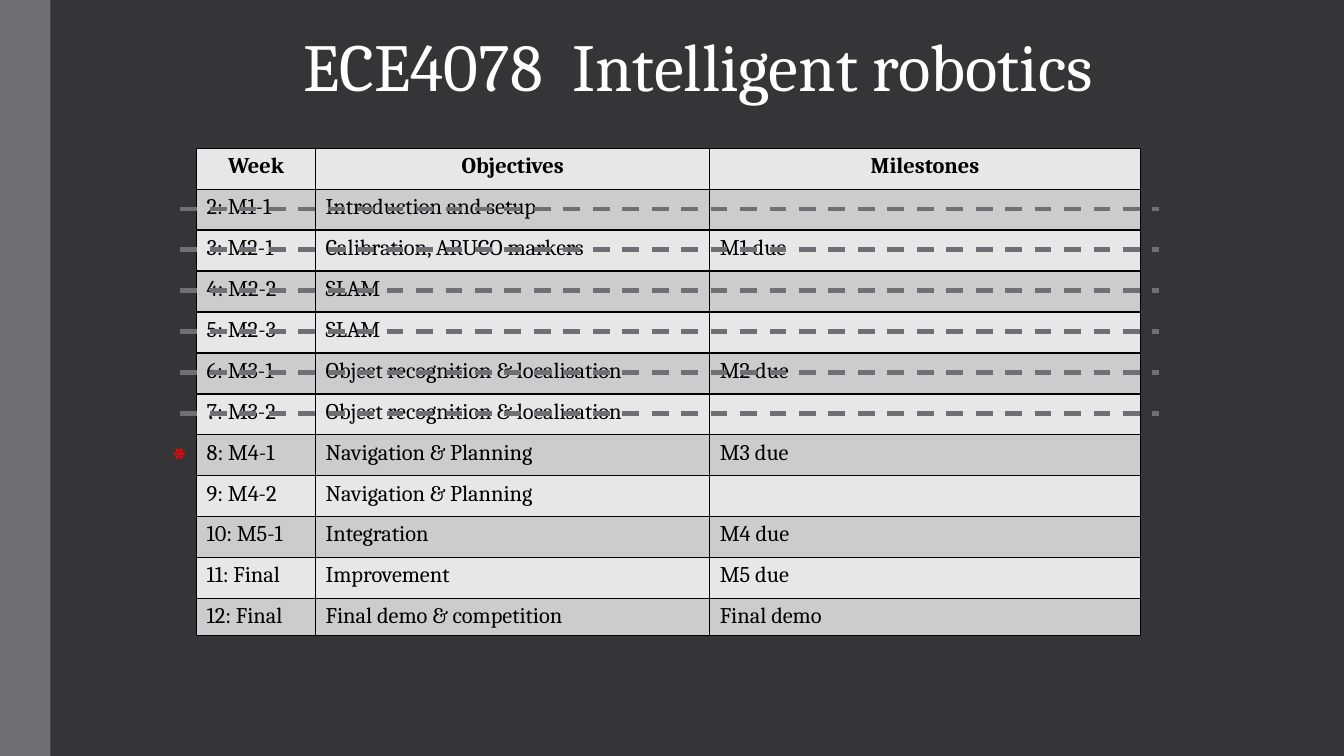
from lxml.etree import SubElement
from pptx import Presentation
from pptx.dml.color import RGBColor
from pptx.enum.dml import MSO_LINE_DASH_STYLE as Dash
from pptx.enum.shapes import MSO_CONNECTOR as Connector, MSO_SHAPE as Shape
from pptx.enum.text import MSO_AUTO_SIZE as AutoSize, PP_ALIGN as Align
from pptx.oxml import parse_xml
from pptx.oxml.ns import nsdecls, qn
from pptx.util import Inches, Pt

BACKGROUND = RGBColor(0x35, 0x35, 0x37)
GREY = RGBColor(0x6F, 0x6F, 0x74)
LIGHT_ROW = RGBColor(0xE7, 0xE7, 0xE7)
DARK_ROW = RGBColor(0xCC, 0xCC, 0xCC)
WHITE = RGBColor(0xFF, 0xFF, 0xFF)
BLACK = RGBColor(0, 0, 0)
RED = RGBColor(0xFF, 0, 0)

SCHEDULE = [
    ("Week", "Objectives", "Milestones"),
    ("2: M1-1", "Introduction and setup", ""),
    ("3: M2-1", "Calibration, ARUCO markers", "M1 due"),
    ("4: M2-2", "SLAM", ""),
    ("5: M2-3", "SLAM", ""),
    ("6: M3-1", "Object recognition & localisation", "M2 due"),
    ("7: M3-2", "Object recognition & localisation", ""),
    ("8: M4-1", "Navigation & Planning", "M3 due"),
    ("9: M4-2", "Navigation & Planning", ""),
    ("10: M5-1", "Integration", "M4 due"),
    ("11: Final", "Improvement", "M5 due"),
    ("12: Final", "Final demo & competition", "Final demo"),
]
COLUMN_WIDTHS = (1.18, 3.91, 4.27)
LAST_ROW_HEIGHT = 0.36
ROW_HEIGHT = (4.83 - LAST_ROW_HEIGHT) / (len(SCHEDULE) - 1)
COMPLETED_WEEKS = 6


class SlideBuilder:
    """Draws styled elements on the current slide."""

    font_name = "Cambria"

    def __init__(self, slide):
        self.slide = slide
        fill = slide.background.fill
        fill.solid()
        fill.fore_color.rgb = BACKGROUND

    def format_text(self, paragraph, size, color, bold=False, align=Align.LEFT):
        paragraph.alignment = align
        for run in paragraph.runs:
            font = run.font
            font.name, font.size, font.bold = self.font_name, Pt(size), bold
            font.color.rgb = color

    def bar(self, left, top, width, height, color):
        shape = self.slide.shapes.add_shape(
            Shape.RECTANGLE, Inches(left), Inches(top), Inches(width), Inches(height))
        shape.shadow.inherit = False
        shape.fill.solid()
        shape.fill.fore_color.rgb = color
        shape.line.fill.background()

    def text(self, text, left, top, width, height, size, color, align=Align.LEFT):
        box = self.slide.shapes.add_textbox(
            Inches(left), Inches(top), Inches(width), Inches(height))
        frame = box.text_frame
        frame.word_wrap = True
        frame.auto_size = AutoSize.SHAPE_TO_FIT_TEXT
        frame.text = text
        self.format_text(frame.paragraphs[0], size, color, align=align)

    def cell(self, cell, text, fill, header):
        cell.fill.solid()
        cell.fill.fore_color.rgb = fill
        cell.text = text
        paragraph = cell.text_frame.paragraphs[0]
        align = Align.CENTER if header else Align.LEFT
        self.format_text(paragraph, 16, BLACK, header, align)
        if not text:
            SubElement(paragraph._p, qn("a:endParaRPr"), sz="1600")
        properties = cell._tc.get_or_add_tcPr()
        for index, side in enumerate(("lnL", "lnR", "lnT", "lnB")):
            properties.insert(index, parse_xml(
                f'<a:{side} {nsdecls("a")} w="{Pt(1)}"><a:solidFill>'
                f'<a:srgbClr val="{BLACK}"/></a:solidFill></a:{side}>'))

    def table(self, rows, left, top, widths, row_height, last_height):
        height = row_height * (len(rows) - 1) + last_height
        table = self.slide.shapes.add_table(
            len(rows), len(widths), Inches(left), Inches(top),
            Inches(sum(widths)), Inches(height)).table
        table.first_row = table.horz_banding = False
        for column, width in zip(table.columns, widths):
            column.width = Inches(width)
        for row_index, values in enumerate(rows):
            row = table.rows[row_index]
            row.height = Inches(row_height)
            fill = DARK_ROW if row_index % 2 else LIGHT_ROW
            for cell, value in zip(row.cells, values):
                self.cell(cell, value, fill, row_index == 0)
        table.rows[len(rows) - 1].height = Inches(last_height)

    def dashed_line(self, left, right, y):
        connector = self.slide.shapes.add_connector(
            Connector.STRAIGHT, Inches(left), Inches(y), Inches(right), Inches(y))
        connector.line.color.rgb = GREY
        connector.line.width = Pt(3)
        connector.line.dash_style = Dash.DASH
        SubElement(connector._element.spPr, qn("a:effectLst"))


presentation = Presentation()
presentation.slide_width = Inches(13.33)
presentation.slide_height = Inches(7.5)
builder = SlideBuilder(presentation.slides.add_slide(presentation.slide_layouts[6]))

builder.bar(0, 0, 0.5, 7.5, GREY)
builder.text("ECE4078  Intelligent robotics", 0.52, 0.19, 12.81, 0.91, 48, WHITE, Align.CENTER)
builder.table(SCHEDULE, 1.95, 1.47, COLUMN_WIDTHS, ROW_HEIGHT, LAST_ROW_HEIGHT)
builder.text("*", 1.6, 4.27, 0.36, 0.57, 28, RED)
for week in range(COMPLETED_WEEKS):
    builder.dashed_line(1.79, 11.5, 2.07 + week * ROW_HEIGHT)

presentation.save("out.pptx")
